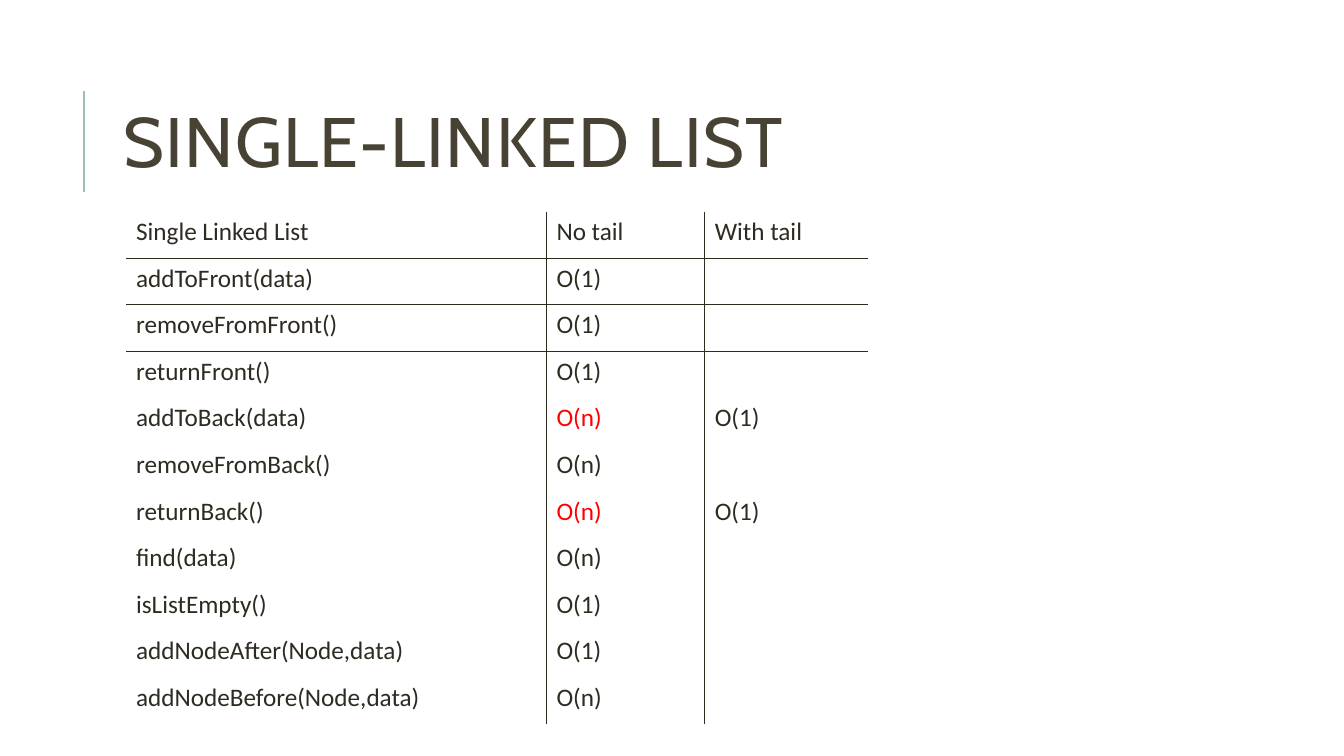
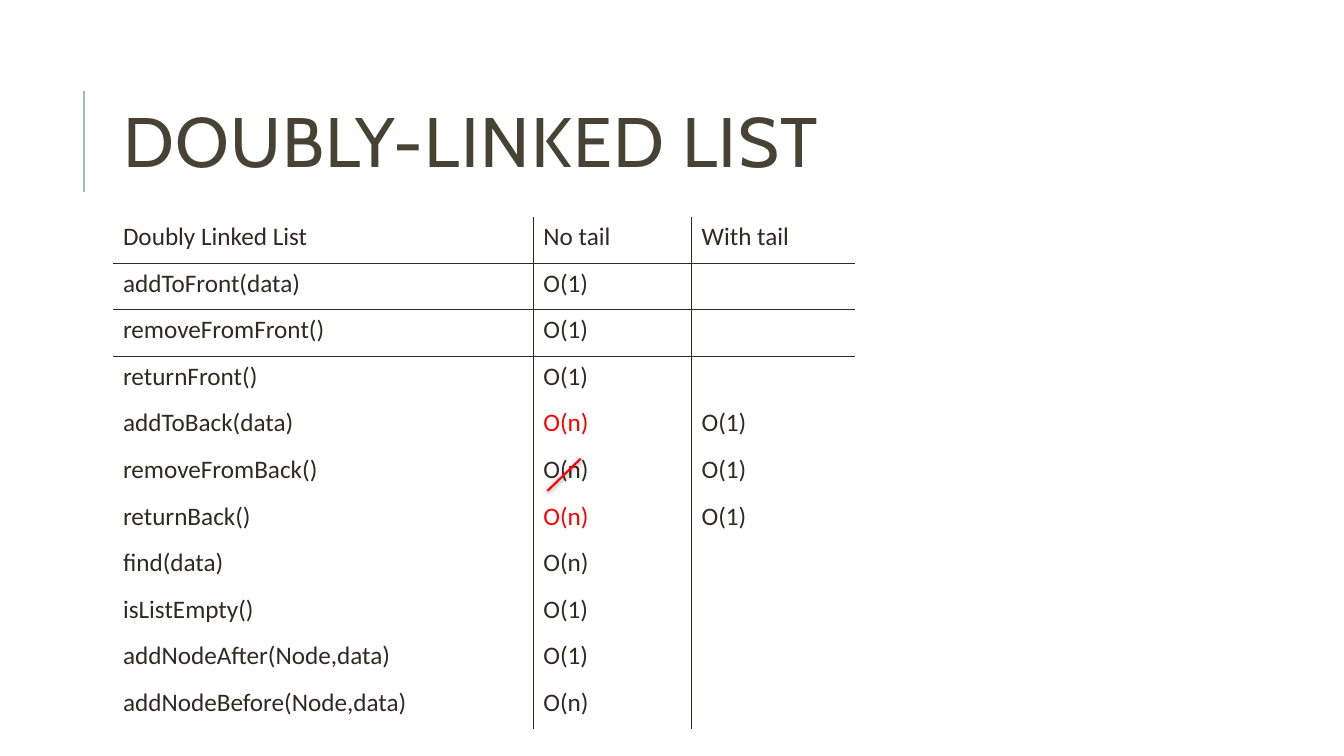
from lxml import etree
from pptx import Presentation
from pptx.dml.color import RGBColor
from pptx.enum.shapes import MSO_CONNECTOR
from pptx.enum.text import MSO_ANCHOR, MSO_AUTO_SIZE, PP_ALIGN
from pptx.oxml.ns import qn
from pptx.util import Inches, Pt

STRAIGHT = MSO_CONNECTOR.STRAIGHT
MIDDLE = MSO_ANCHOR.MIDDLE
NO_AUTOFIT = MSO_AUTO_SIZE.NONE
LEFT = PP_ALIGN.LEFT

TITLE_FONT, BODY_FONT = "Cabin", "Calibri"
TITLE_COLOR, INK, ACCENT, RED = "474233", "2E2B21", "9CBEBD", "FF0000"
TITLE_ONLY = 5
PLAIN_TABLE_STYLE = "{2D5ABB26-0587-4C30-8999-92F81FD0307C}"
COLUMN_WIDTHS = (4.17, 1.57, 1.62)
TABLE_HEIGHT = 5.08
COSTS = (
    ("addToFront(data)", "O(1)"),
    ("removeFromFront()", "O(1)"),
    ("returnFront()", "O(1)"),
    ("addToBack(data)", "O(n)"),
    ("removeFromBack()", "O(n)"),
    ("returnBack()", "O(n)"),
    ("find(data)", "O(n)"),
    ("isListEmpty()", "O(1)"),
    ("addNodeAfter(Node,data)", "O(1)"),
    ("addNodeBefore(Node,data)", "O(n)"),
)
RED_COSTS = ("addToBack(data)", "returnBack()")


def rgb(value):
    return RGBColor.from_string(value)


def add_child(parent, tag, **attributes):
    return etree.SubElement(parent, qn(tag), attributes)


def set_text(frame, text, font=BODY_FONT, size=18, color=INK, line_spacing=None, tracking=None):
    paragraph = frame.paragraphs[0]
    paragraph.alignment = LEFT
    if line_spacing:
        paragraph.line_spacing = line_spacing
    run = paragraph.add_run()
    run.text = text
    run.font.name = font
    run.font.size = Pt(size)
    run.font.color.rgb = rgb(color)
    if tracking:
        run.font._element.set("spc", str(tracking * 100))


def add_line(slide, start, end, color, shadow=False):
    points = [Inches(value) for value in (*start, *end)]
    connector = slide.shapes.add_connector(STRAIGHT, *points)
    connector.line.color.rgb = rgb(color)
    connector.line.width = Pt(1.5)
    effects = add_child(connector.element.spPr, "a:effectLst")
    if shadow:
        outer = add_child(effects, "a:outerShdw", blurRad=str(Pt(4)), dist=str(Pt(1)),
                          dir="5400000", rotWithShape="0")
        shade = add_child(outer, "a:srgbClr", val="000000")
        add_child(shade, "a:alpha", val="50000")


def add_titled_slide(presentation, text):
    slide = presentation.slides.add_slide(presentation.slide_layouts[TITLE_ONLY])
    add_line(slide, (0.83, 1.9), (0.83, 0.9), ACCENT)
    title = slide.shapes.title
    title.left, title.top = Inches(1.12), Inches(0.64)
    title.width, title.height = Inches(10.63), Inches(1.64)
    frame = title.text_frame
    frame.word_wrap = True
    frame.auto_size = NO_AUTOFIT
    frame.vertical_anchor = MIDDLE
    set_text(frame, text, font=TITLE_FONT, size=50, color=TITLE_COLOR,
             line_spacing=0.8, tracking=1)
    return slide


def add_borders(cell, row, column):
    sides = (
        ("a:lnL", column == 1),
        ("a:lnR", column == 0),
        ("a:lnT", row in (1, 2)),
        ("a:lnB", row in (0, 1)),
    )
    properties = cell._tc.get_or_add_tcPr()
    for tag, visible in sides:
        if visible:
            border = add_child(properties, tag, w=str(Pt(1)))
            fill = add_child(border, "a:solidFill")
            add_child(fill, "a:srgbClr", val=INK)


def add_cost_table(slide, left, top, heading, tail_costs):
    rows = [(heading, "No tail", "With tail")]
    rows += [(name, cost, tail_costs.get(name, "")) for name, cost in COSTS]
    table = slide.shapes.add_table(
        len(rows), len(COLUMN_WIDTHS), Inches(left), Inches(top),
        Inches(sum(COLUMN_WIDTHS)), Inches(TABLE_HEIGHT)).table
    table.first_row = False
    table.horz_banding = False
    table._tbl.tblPr.find(qn("a:tableStyleId")).text = PLAIN_TABLE_STYLE
    for column, width in zip(table.columns, COLUMN_WIDTHS):
        column.width = Inches(width)
    for row, texts in enumerate(rows):
        for column, text in enumerate(texts):
            cell = table.cell(row, column)
            add_borders(cell, row, column)
            cell.fill.background()
            if text:
                is_red = column == 1 and texts[0] in RED_COSTS
                set_text(cell.text_frame, text, color=RED if is_red else INK)


def main():
    presentation = Presentation()
    presentation.slide_width = Inches(13.33)
    presentation.slide_height = Inches(7.5)

    single_tail = {name: "O(1)" for name in RED_COSTS}
    slide = add_titled_slide(presentation, "SINGLE-LINKED LIST")
    add_cost_table(slide, 1.25, 2.1, "Single Linked List", single_tail)

    doubly_tail = {**single_tail, "removeFromBack()": "O(1)"}
    slide = add_titled_slide(presentation, "DOUBLY-LINKED LIST")
    add_cost_table(slide, 1.12, 2.15, "Doubly Linked List", doubly_tail)
    add_line(slide, (5.76, 4.55), (5.43, 4.87), RED, shadow=True)

    presentation.save("out.pptx")


if __name__ == "__main__":
    main()
